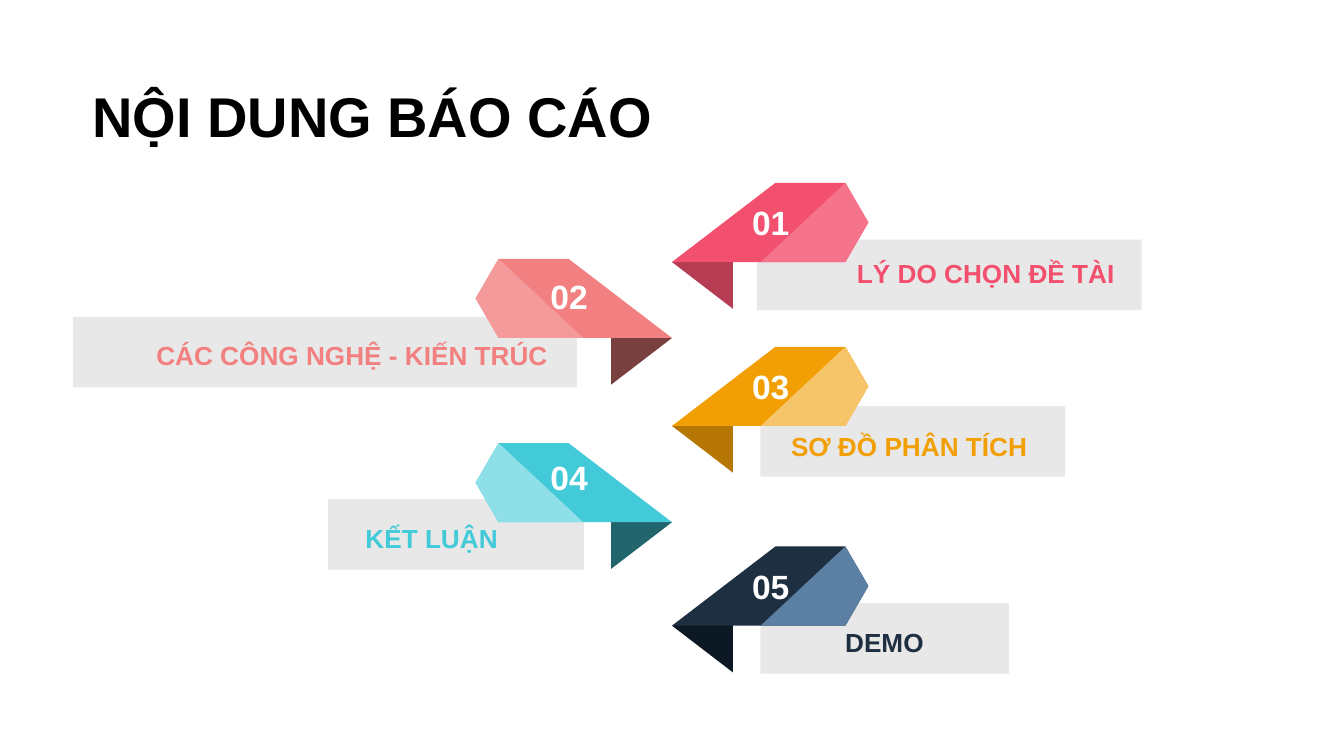
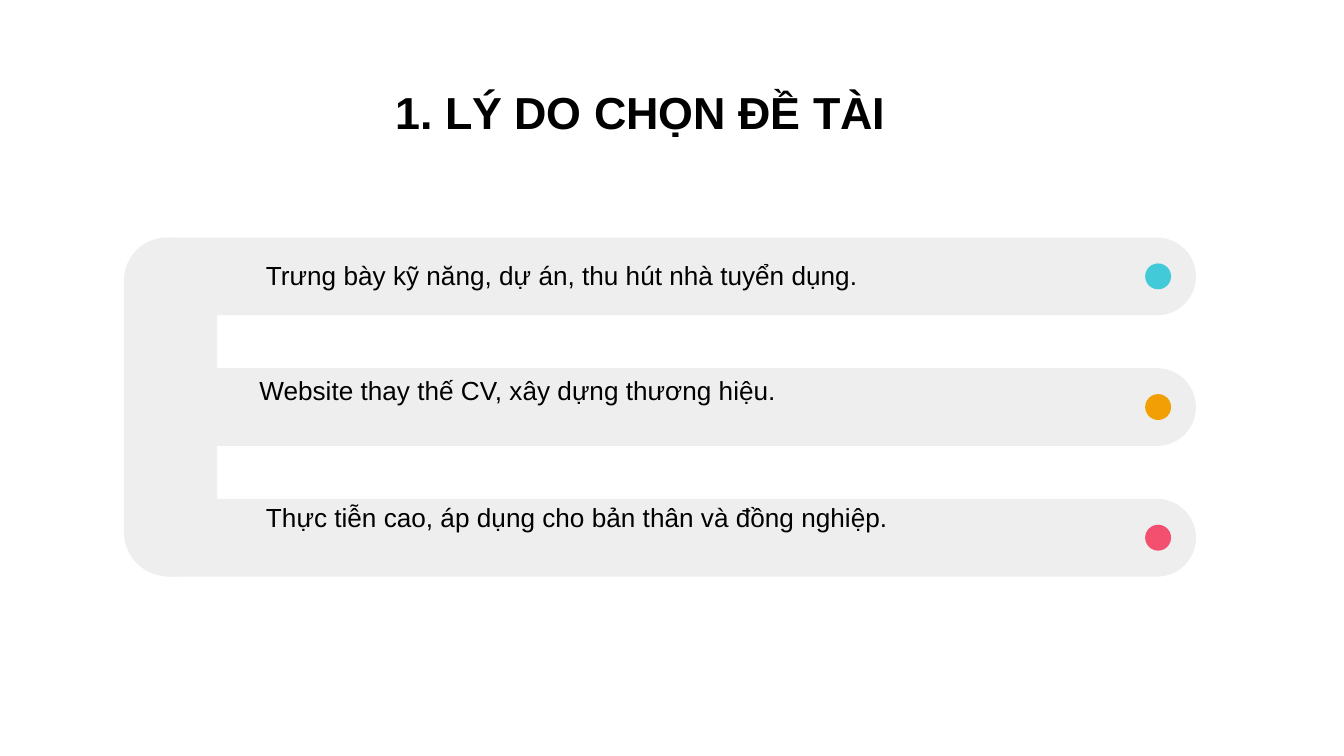
from dataclasses import dataclass

from pptx import Presentation
from pptx.dml.color import RGBColor
from pptx.enum import shapes, text
from pptx.util import Pt


@dataclass(frozen=True)
class Theme:
    font: str = "Arial"
    ink: str = "000000"
    white: str = "FFFFFF"
    bar: str = "E8E8E8"
    comb: str = "EEEEEE"
    pink: str = "F2506E"
    coral: str = "F28080"
    amber: str = "F29F05"
    teal: str = "43CAD9"
    navy: str = "1D2F40"
    agenda_title: int = 30
    section_title: int = 24
    number: int = 18
    body: int = 14


THEME = Theme()

# Content: side is 1 for right of the centre line, -1 for left
AGENDA_TITLE = ("NỘI DUNG BÁO CÁO", 38.9, 321.1)
AGENDA = [
    dict(number="01", label="LÝ DO CHỌN ĐỀ TÀI", side=1, top=98, number_drop=5,
         color=THEME.pink, fold="B63C53", facet="F5738B",
         bar=(405.5, 128.4, 206.2), label_at=(438.5, 133.9, 179.3)),
    dict(number="02", label="CÁC CÔNG NGHỆ - KIẾN TRÚC", side=-1, top=138.7, number_drop=3.6,
         color=THEME.coral, fold="794040", facet="F59A9A",
         bar=(39, 169.8, 270), label_at=(68.4, 177.4, 240.5)),
    dict(number="03", label="SƠ ĐỒ PHÂN TÍCH", side=1, top=185.8, number_drop=5,
         color=THEME.amber, fold="B67704", facet="F7C569",
         bar=(407.3, 217.6, 163.3), label_at=(393.1, 226.3, 187.9)),
    dict(number="04", label="KẾT LUẬN", side=-1, top=237.4, number_drop=2.2,
         color=THEME.teal, fold="22656D", facet="8EDFE8",
         bar=(175.8, 267.4, 137), label_at=(149.6, 275.9, 163.4)),
    dict(number="05", label="DEMO", side=1, top=292.8, number_drop=5,
         color=THEME.navy, fold="0C1823", facet="5B80A3",
         bar=(407.3, 323.1, 133.2), label_at=(427.7, 331.3, 92.2)),
]
REASONS_TITLE = ("1. LÝ DO CHỌN ĐỀ TÀI", 190.8, 304.6)
REASONS = [  # wording, left, top, width, dot colour
    ("Trưng bày kỹ năng, dự án, thu hút nhà tuyển dụng.", 135.4, 135.4, 515.5, THEME.teal),
    ("Website thay thế CV, xây dựng thương hiệu.", 131.8, 197.3, 488.9, THEME.amber),
    ("Thực tiễn cao, áp dụng cho bản thân và đồng nghiệp.", 135.4, 265, 478.8, THEME.pink),
]

# Ribbon outlines: distance from the centre line, distance below the ribbon's top
CENTRE = 360
FOLD = [(32.6, 31), (0, 42.4), (32.6, 67.4)]
BODY = [(55.4, 0), (0, 42.4), (92.9, 42.4), (105.2, 21.2), (92.9, 0)]
FACET = [(92.9, 0), (47.5, 42.4), (92.9, 42.4), (105.2, 21.2)]
NUMBER_LEFT = {1: 372.2, -1: 264.2}
BAR_HEIGHT, LABEL_HEIGHT = 37.8, 25.2

# Comb of rounded bars
COMB_TOP, PILL_HEIGHT, PILL_PITCH = 127.3, 41.6, 70
PILL_LEFT, PILL_WIDTH = 71.2, 569.5
SPINE_LEFT, SPINE_WIDTH = 66.4, 50
DOT_LEFT, DOT_SIZE = 613.5, 13.9


def paint(shape, color):
    shape.fill.solid()
    shape.fill.fore_color.rgb = RGBColor.from_string(color)
    shape.line.fill.background()
    shape.shadow.inherit = False
    return shape


def add_block(slide, preset, box, color):
    return paint(slide.shapes.add_shape(preset, *map(Pt, box)), color)


def add_outline(slide, points, side, top, color):
    corners = [(Pt(CENTRE + side * x), Pt(top + y)) for x, y in points]
    outline = slide.shapes.build_freeform(*corners[0])
    outline.add_line_segments(corners[1:], close=True)
    paint(outline.convert_to_shape(), color)


def add_words(slide, words, box, size, color=THEME.ink, bold=True, centred=True):
    frame = slide.shapes.add_textbox(*map(Pt, box)).text_frame
    frame.word_wrap = True
    line = frame.paragraphs[0]
    if centred:
        frame.vertical_anchor = text.MSO_ANCHOR.MIDDLE
        frame.margin_top = frame.margin_bottom = Pt(7.2)
        line.alignment = text.PP_ALIGN.CENTER
    run = line.add_run()
    run.text = words
    run.font.name, run.font.size, run.font.bold = THEME.font, Pt(size), bold
    run.font.color.rgb = RGBColor.from_string(color)
    return line


def add_title(slide, title, size):
    words, left, width = title
    return add_words(slide, words, (left, 42.5, width, 38.2), size)


def build_agenda(slide):
    add_title(slide, AGENDA_TITLE, THEME.agenda_title)
    # Grey bars with their labels
    for topic in AGENDA:
        add_block(slide, shapes.MSO_SHAPE.RECTANGLE, (*topic["bar"], BAR_HEIGHT), THEME.bar)
        add_words(slide, topic["label"], (*topic["label_at"], LABEL_HEIGHT),
                  THEME.body, topic["color"])
    # Folded, numbered ribbons
    for topic in AGENDA:
        side, top = topic["side"], topic["top"]
        for points, part in ((FOLD, "fold"), (BODY, "color"), (FACET, "facet")):
            add_outline(slide, points, side, top, topic[part])
        add_words(slide, topic["number"],
                  (NUMBER_LEFT[side], top + topic["number_drop"], 81.4, 32.4),
                  THEME.number, THEME.white)


def build_reasons(slide):
    # Spine of the comb
    spine_height = PILL_PITCH * (len(REASONS) - 1) + PILL_HEIGHT
    spine = add_block(slide, shapes.MSO_SHAPE.ROUND_2_DIAG_RECTANGLE,
                      (SPINE_LEFT, COMB_TOP, SPINE_WIDTH, spine_height), THEME.comb)
    spine.adjustments[0], spine.adjustments[1] = 0.46, 0.48
    add_title(slide, REASONS_TITLE, THEME.section_title).line_spacing = 0.9
    # One rounded bar, dot and sentence per reason
    for row, (reason, left, top, width, color) in enumerate(REASONS):
        pill_top = COMB_TOP + row * PILL_PITCH
        pill = add_block(slide, shapes.MSO_SHAPE.ROUNDED_RECTANGLE,
                         (PILL_LEFT, pill_top, PILL_WIDTH, PILL_HEIGHT), THEME.comb)
        pill.adjustments[0] = 0.5
        dot_top = pill_top + (PILL_HEIGHT - DOT_SIZE) / 2
        add_block(slide, shapes.MSO_SHAPE.OVAL, (DOT_LEFT, dot_top, DOT_SIZE, DOT_SIZE), color)
        add_words(slide, reason, (left, top, width, 24.2), THEME.body,
                  bold=False, centred=False)


def main():
    deck = Presentation()
    deck.slide_width, deck.slide_height = Pt(720), Pt(405)
    blank = deck.slide_layouts[6]
    for build in (build_agenda, build_reasons):
        build(deck.slides.add_slide(blank))
    deck.save("out.pptx")


if __name__ == "__main__":
    main()
